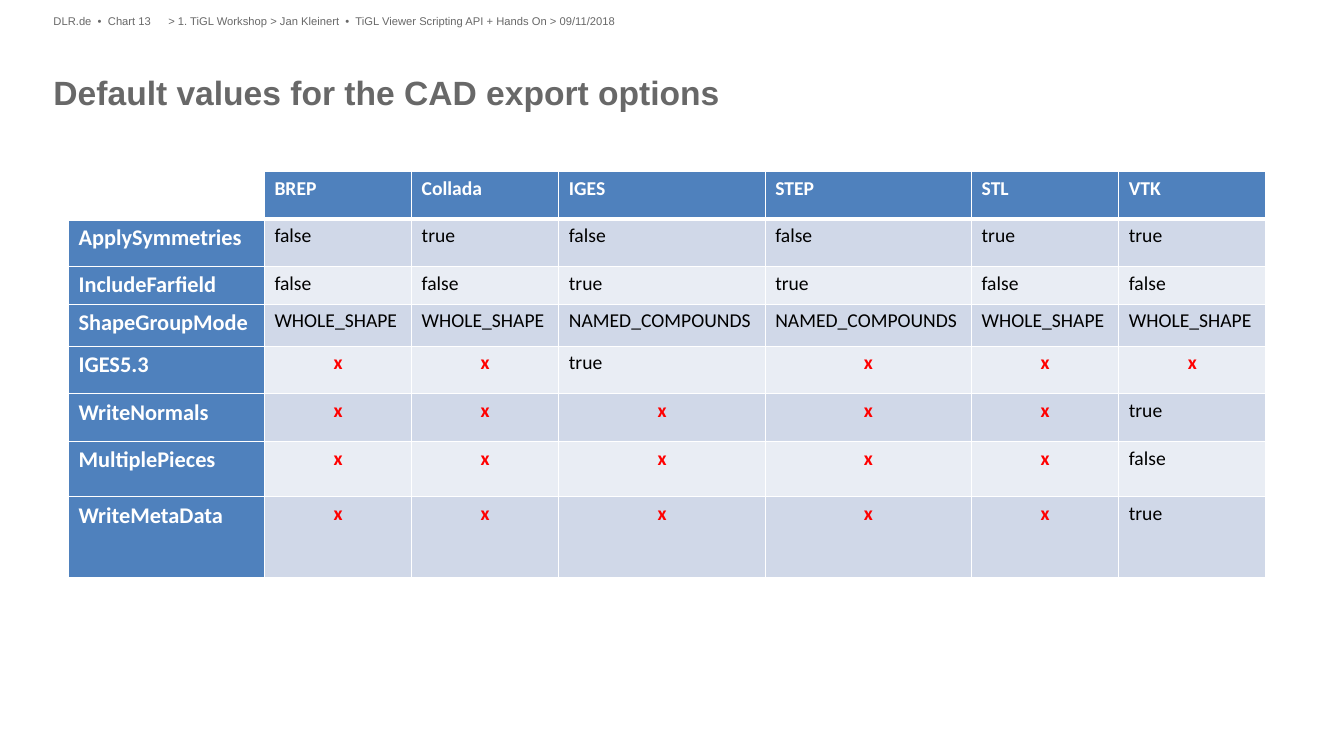
from lxml import etree
from pptx import Presentation
from pptx.dml.color import RGBColor
from pptx.enum.text import MSO_ANCHOR, PP_ALIGN
from pptx.oxml.ns import qn
from pptx.util import Pt

LEFT, CENTER = PP_ALIGN.LEFT, PP_ALIGN.CENTER
TOP = MSO_ANCHOR.TOP
TITLE_ONLY = 5

GRAY, WHITE, BLACK, RED = "686868", "FFFFFF", "000000", "FF0000"
BLUE, BANDS = "4F81BD", ("D0D8E8", "E9EDF4")

FORMATS = ["BREP", "Collada", "IGES", "STEP", "STL", "VTK"]
WHOLE, NAMED = "WHOLE_SHAPE", "NAMED_COMPOUNDS"
OPTIONS = [
    ("ApplySymmetries", ["false", "true", "false", "false", "true", "true"]),
    ("IncludeFarfield", ["false", "false", "true", "true", "false", "false"]),
    ("ShapeGroupMode", [WHOLE, WHOLE, NAMED, NAMED, WHOLE, WHOLE]),
    ("IGES5.3", ["x", "x", "true", "x", "x", "x"]),
    ("WriteNormals", ["x"] * 5 + ["true"]),
    ("MultiplePieces", ["x"] * 5 + ["false"]),
    ("WriteMetaData", ["x"] * 5 + ["true"]),
]
COLUMN_WIDTHS = [140, 105.2, 105.2, 147.5, 147.5, 105.2, 105.2]
ROW_HEIGHTS = [34, 34, 27, 30, 34, 34, 39.5, 58]


def color(value):
    return RGBColor.from_string(value)


def write(frame, text, size=14, font="Arial", ink=BLACK, bold=False, align=LEFT):
    paragraph = frame.paragraphs[0]
    paragraph.alignment = align
    run = paragraph.add_run()
    run.text = text
    run.font.size = Pt(size)
    run.font.name = font
    run.font.bold = bold
    run.font.color.rgb = color(ink)


class SlideBuilder:
    text_font, table_font = "Arial", "Calibri"

    def __init__(self, presentation):
        self.slide = presentation.slides.add_slide(presentation.slide_layouts[TITLE_ONLY])

    def place_text(self, shape, text, box, size, bold=False):
        shape.left, shape.top, shape.width, shape.height = map(Pt, box)
        frame = shape.text_frame
        frame.word_wrap = True
        frame.vertical_anchor = TOP
        frame.margin_left = frame.margin_right = frame.margin_top = frame.margin_bottom = 0
        write(frame, text, size, self.text_font, GRAY, bold)

    def title(self, text, box):
        self.place_text(self.slide.shapes.title, text, box, 24, bold=True)

    def label(self, text, box):
        shape = self.slide.shapes.add_textbox(*map(Pt, box))
        self.place_text(shape, text, box, 8)

    def table(self, left, top, widths, heights):
        frame = self.slide.shapes.add_table(
            len(heights), len(widths), Pt(left), Pt(top), Pt(sum(widths)), Pt(sum(heights)))
        table = frame.table
        table.horz_banding = False
        for column, width in zip(table.columns, widths):
            column.width = Pt(width)
        for row, height in zip(table.rows, heights):
            row.height = Pt(height)
        return table

    def cell(self, cell, text, fill, top=1, bottom=1, **style):
        if fill:
            cell.fill.solid()
            cell.fill.fore_color.rgb = color(fill)
        else:
            cell.fill.background()
        if text:
            write(cell.text_frame, text, font=self.table_font, **style)
        # Borders come before the fill in the cell properties
        properties = cell._tc.get_or_add_tcPr()
        sides = [("a:lnL", 1), ("a:lnR", 1), ("a:lnT", top), ("a:lnB", bottom)]
        for index, (side, width) in enumerate(sides):
            line = etree.Element(qn(side), w=str(Pt(width)))
            solid = etree.SubElement(line, qn("a:solidFill"))
            etree.SubElement(solid, qn("a:srgbClr"), val=WHITE)
            properties.insert(index, line)


def main():
    presentation = Presentation()
    presentation.slide_width, presentation.slide_height = Pt(960.5), Pt(540)
    builder = SlideBuilder(presentation)

    # Title and running header
    builder.title("Default values for the CAD export options", (38.2, 51.1, 883.4, 58.3))
    builder.label("> 1. TiGL Workshop > Jan Kleinert  •  TiGL Viewer Scripting API + Hands On"
                  " > 09/11/2018", (120.3, 10.1, 801.3, 11.5))
    builder.label("DLR.de  •  Chart 13", (38.2, 10.1, 82, 11.5))

    # Table header
    table = builder.table(49, 122.4, COLUMN_WIDTHS, ROW_HEIGHTS)
    for column, name in enumerate([""] + FORMATS):
        builder.cell(table.cell(0, column), name, BLUE if name else None,
                     bottom=3, ink=WHITE, bold=True)

    # One row for each option; a red x marks an option the format lacks
    for row, (option, values) in enumerate(OPTIONS, start=1):
        top = 3 if row == 1 else 1
        builder.cell(table.cell(row, 0), option, BLUE, top, size=16, ink=WHITE, bold=True)
        for column, value in enumerate(values, start=1):
            style = {"ink": RED, "bold": True, "align": CENTER} if value == "x" else {}
            builder.cell(table.cell(row, column), value, BANDS[(row - 1) % 2], top, **style)

    presentation.save("out.pptx")


if __name__ == "__main__":
    main()
